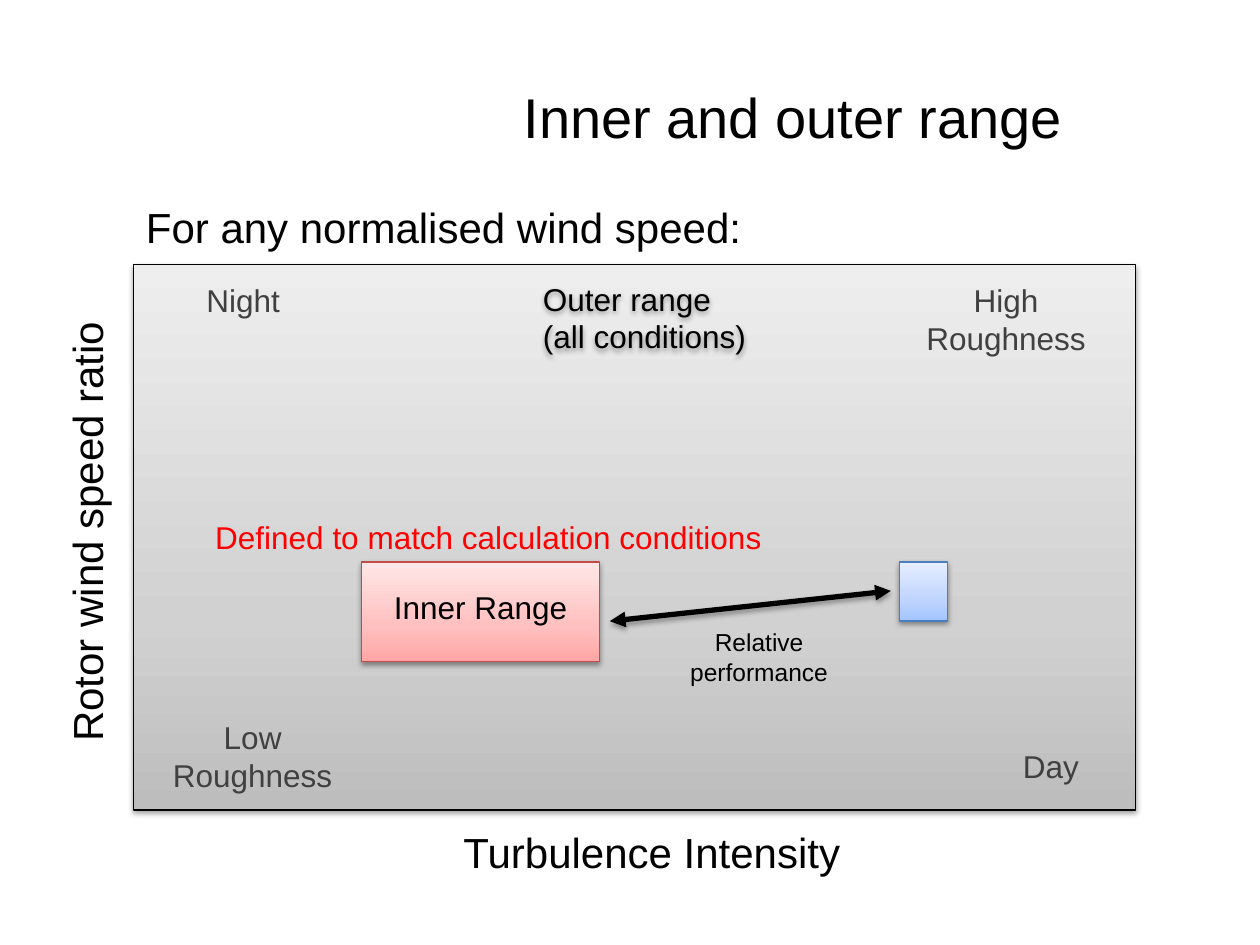
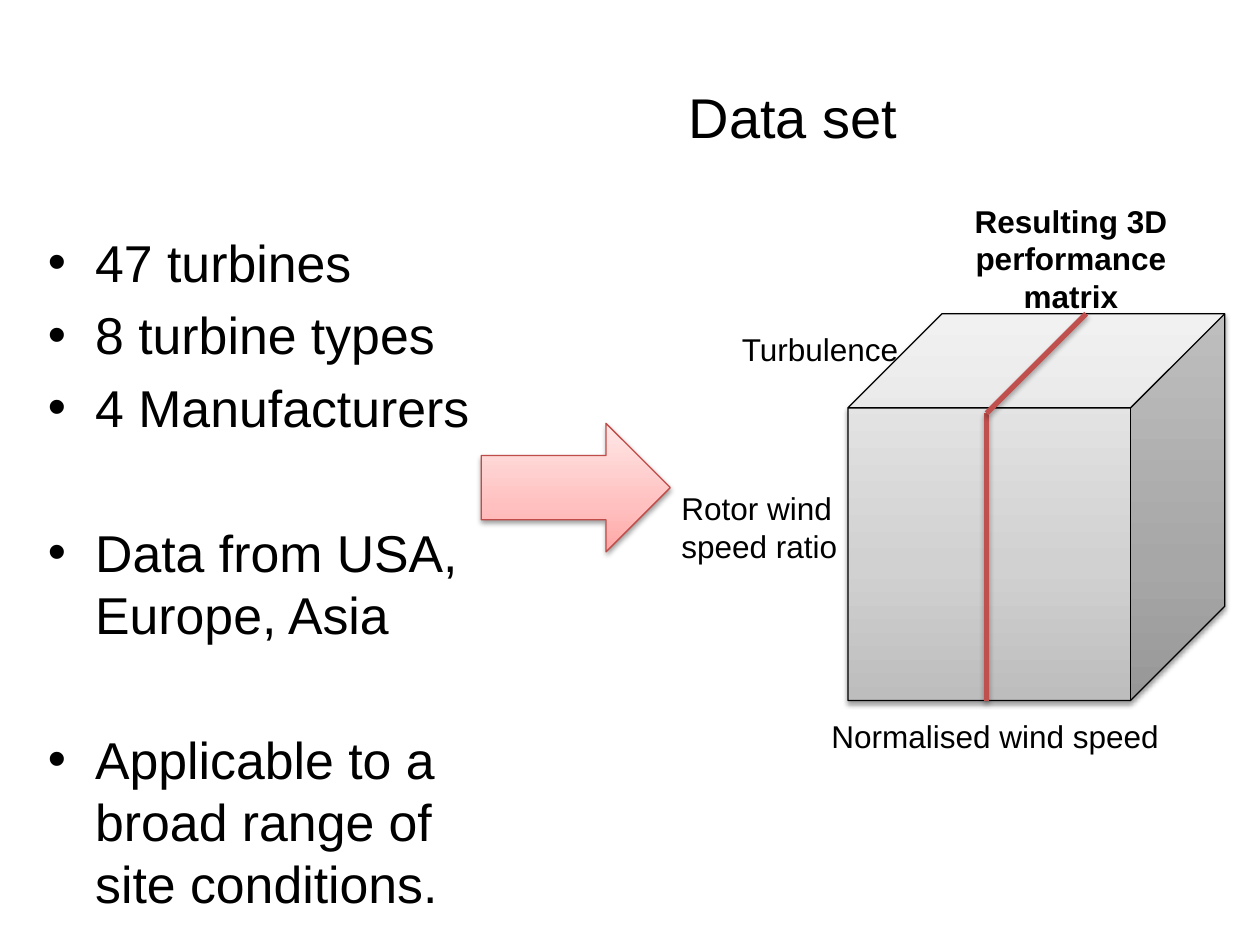
"""Build two slides on wind turbine performance ranges and their data set."""
from copy import deepcopy

from lxml import etree
from pptx import Presentation
from pptx.dml.color import RGBColor
from pptx.enum.shapes import MSO_CONNECTOR, MSO_SHAPE
from pptx.enum.text import MSO_ANCHOR, MSO_AUTO_SIZE, PP_ALIGN
from pptx.oxml.ns import qn
from pptx.util import Inches, Pt

RECT, CUBE, ARROW = MSO_SHAPE.RECTANGLE, MSO_SHAPE.CUBE, MSO_SHAPE.RIGHT_ARROW
LEFT, CENTER = PP_ALIGN.LEFT, PP_ALIGN.CENTER
TOP, MIDDLE = MSO_ANCHOR.TOP, MSO_ANCHOR.MIDDLE
STRAIGHT = MSO_CONNECTOR.STRAIGHT
NO_AUTOFIT = MSO_AUTO_SIZE.NONE

FONT = "Arial"
BLACK = RGBColor(0x00, 0x00, 0x00)
DARK_GREY = RGBColor(0x40, 0x40, 0x40)
RED = RGBColor(0xFF, 0x00, 0x00)
BRICK = RGBColor(0xC0, 0x50, 0x4D)

STOP_POSITIONS = (0, 0.35, 1)
GREY_STYLE = (("BDBDBD", "D1D1D1", "EEEEEE"), BLACK)
RED_STYLE = (("FFA6A5", "FFC0BF", "FFE7E7"), RGBColor(0xBF, 0x4C, 0x48))
BLUE_STYLE = (("A4C4FF", "BFD4FF", "E6EEFF"), RGBColor(0x4B, 0x7E, 0xBC))

TITLE_BOX = (2.95, 0.3, 6.69, 1.25)
TITLE_SIZE = 32
BULLET_BOX = (0.28, 1.78, 3.86, 4.88)
BULLET_SIZE, BULLET_GAP, GROUP_GAP = 29.6, 5.9, 47.3
BULLET_GROUPS = [
    ["47 turbines", "8 turbine types", "4 Manufacturers"],
    ["Data from USA, Europe, Asia"],
    ["Applicable to a broad range of site conditions."],
]

RANGE_SLIDE = {
    "title": "Inner and outer range",
    "shapes": [
        (RECT, (1.06, 2.1, 7.95, 4.33), GREY_STYLE),
        (RECT, (2.87, 4.46, 1.89, 0.79), RED_STYLE),
        (RECT, (7.14, 4.46, 0.38, 0.47), BLUE_STYLE),
    ],
    "lines": [((4.84, 4.93), (7.07, 4.69), BLACK, True)],
    "labels": [
        ("Outer range\n(all conditions)", (4.21, 2.17, 1.81, 0.71), {"shadow": True}),
        ("Turbulence Intensity", (3.58, 6.51, 3.31, 0.5), {"size": 24}),
        ("Rotor wind speed ratio", (-1.52, 3.97, 4.41, 0.5),
         {"size": 24, "align": CENTER, "rotation": 270}),
        ("Inner Range", (2.95, 4.62, 1.73, 0.4), {"align": CENTER}),
        ("Defined to match calculation conditions", (1.61, 4.06, 4.72, 0.4),
         {"color": RED}),
        ("For any normalised wind speed:", (1.06, 1.55, 5.83, 0.5), {"size": 24}),
        ("Night", (1.38, 2.18, 1.1, 0.4), {"align": CENTER, "color": DARK_GREY}),
        ("Day", (7.83, 5.88, 1.02, 0.4), {"align": CENTER, "color": DARK_GREY}),
        ("Low Roughness", (1.22, 5.65, 1.57, 0.71),
         {"align": CENTER, "color": DARK_GREY}),
        ("High Roughness", (7.2, 2.18, 1.57, 0.71),
         {"align": CENTER, "color": DARK_GREY}),
        ("Relative performance", (5.24, 4.93, 1.57, 0.57),
         {"size": 14, "align": CENTER}),
    ],
}

DATA_SLIDE = {
    "title": "Data set",
    "shapes": [
        (CUBE, (6.73, 2.49, 2.99, 3.07), GREY_STYLE),
        (ARROW, (3.82, 3.36, 1.5, 1.02), RED_STYLE),
    ],
    "lines": [
        ((7.83, 5.56), (7.83, 3.28), BRICK, False),
        ((7.83, 3.28), (8.62, 2.49), BRICK, False),
    ],
    "labels": [
        ("Normalised wind speed", (6.5, 5.64, 2.99, 0.4), {}),
        ("Rotor wind speed ratio", (5.31, 3.83, 1.57, 0.71), {}),
        ("Turbulence", (5.79, 2.57, 1.5, 0.4), {}),
        ("Resulting 3D performance matrix", (7.28, 1.55, 2.44, 1.01),
         {"align": CENTER, "bold": True}),
    ],
}


def inches(values):
    return [Inches(v) for v in values]


def add_shadow(sp, alpha, dist):
    effects = etree.SubElement(sp.element.spPr, qn("a:effectLst"))
    shadow = etree.SubElement(effects, qn("a:outerShdw"), blurRad=str(Pt(3.1)),
                              dist=str(Pt(dist)), dir="5400000", rotWithShape="0")
    color = etree.SubElement(shadow, qn("a:srgbClr"), val=str(BLACK))
    etree.SubElement(color, qn("a:alpha"), val=str(alpha * 1000))


def add_run(p, text, size, color=BLACK, bold=False):
    r = p.add_run()
    r.text = text
    r.font.name, r.font.size, r.font.bold = FONT, Pt(size), bold
    r.font.color.rgb = color


def place(sp, box):
    sp.left, sp.top, sp.width, sp.height = inches(box)
    sp.text_frame.auto_size = NO_AUTOFIT
    return sp.text_frame


def add_title(slide, text):
    tf = place(slide.shapes.title, TITLE_BOX)
    tf.vertical_anchor = MIDDLE
    p = tf.paragraphs[0]
    p.alignment = CENTER
    add_run(p, text, TITLE_SIZE)


def add_bullets(slide, groups):
    tf = place(slide.placeholders[1], BULLET_BOX)
    tf.vertical_anchor = TOP
    p = tf.paragraphs[0]
    for g, group in enumerate(groups):
        for i, text in enumerate(group):
            if g or i:
                p = tf.add_paragraph()
                p.space_before = Pt(BULLET_GAP if i else GROUP_GAP)
            else:
                p.space_before = Pt(0)
            add_run(p, text, BULLET_SIZE)


def add_gradient_shape(slide, kind, box, style):
    colors, outline = style
    sp = slide.shapes.add_shape(kind, *inches(box))
    sp.fill.gradient()
    sp.fill.gradient_angle = 90
    stop_list = sp.element.spPr.find(".//" + qn("a:gsLst"))
    stop_list.insert(1, deepcopy(stop_list[0]))
    for stop, color, position in zip(sp.fill.gradient_stops, colors, STOP_POSITIONS):
        stop.color.rgb = RGBColor.from_string(color)
        stop.position = position
    sp.line.color.rgb = outline
    sp.line.width = Pt(0.75)
    add_shadow(sp, 38, 1.6)


def add_line(slide, start, end, color, arrows):
    line = slide.shapes.add_connector(STRAIGHT, *inches(start + end))
    line.line.color.rgb = color
    line.line.width = Pt(3)
    if arrows:
        ln = line.element.spPr.find(qn("a:ln"))
        for tag in ("a:headEnd", "a:tailEnd"):
            etree.SubElement(ln, qn(tag), type="triangle")
    add_shadow(line, 35, 1.8)


def add_label(slide, text, box, size=18, color=BLACK, bold=False, align=LEFT,
              rotation=0, shadow=False):
    sp = slide.shapes.add_textbox(*inches(box))
    sp.rotation = rotation
    tf = sp.text_frame
    tf.word_wrap = True
    p = tf.paragraphs[0]
    p.alignment = align
    for i, part in enumerate(text.split("\n")):
        if i:
            p.add_line_break()
        add_run(p, part, size, color, bold)
    if shadow:
        add_shadow(sp, 38, 1.6)


def add_slide(prs, layout, content):
    slide = prs.slides.add_slide(prs.slide_layouts.get_by_name(layout))
    add_title(slide, content["title"])
    for kind, box, style in content["shapes"]:
        add_gradient_shape(slide, kind, box, style)
    for line in content["lines"]:
        add_line(slide, *line)
    for text, box, options in content["labels"]:
        add_label(slide, text, box, **options)
    return slide


def main():
    prs = Presentation()
    prs.slide_width, prs.slide_height = Inches(10), Inches(7.5)
    add_slide(prs, "Title Only", RANGE_SLIDE)
    add_bullets(add_slide(prs, "Title and Content", DATA_SLIDE), BULLET_GROUPS)
    prs.save("out.pptx")


if __name__ == "__main__":
    main()
